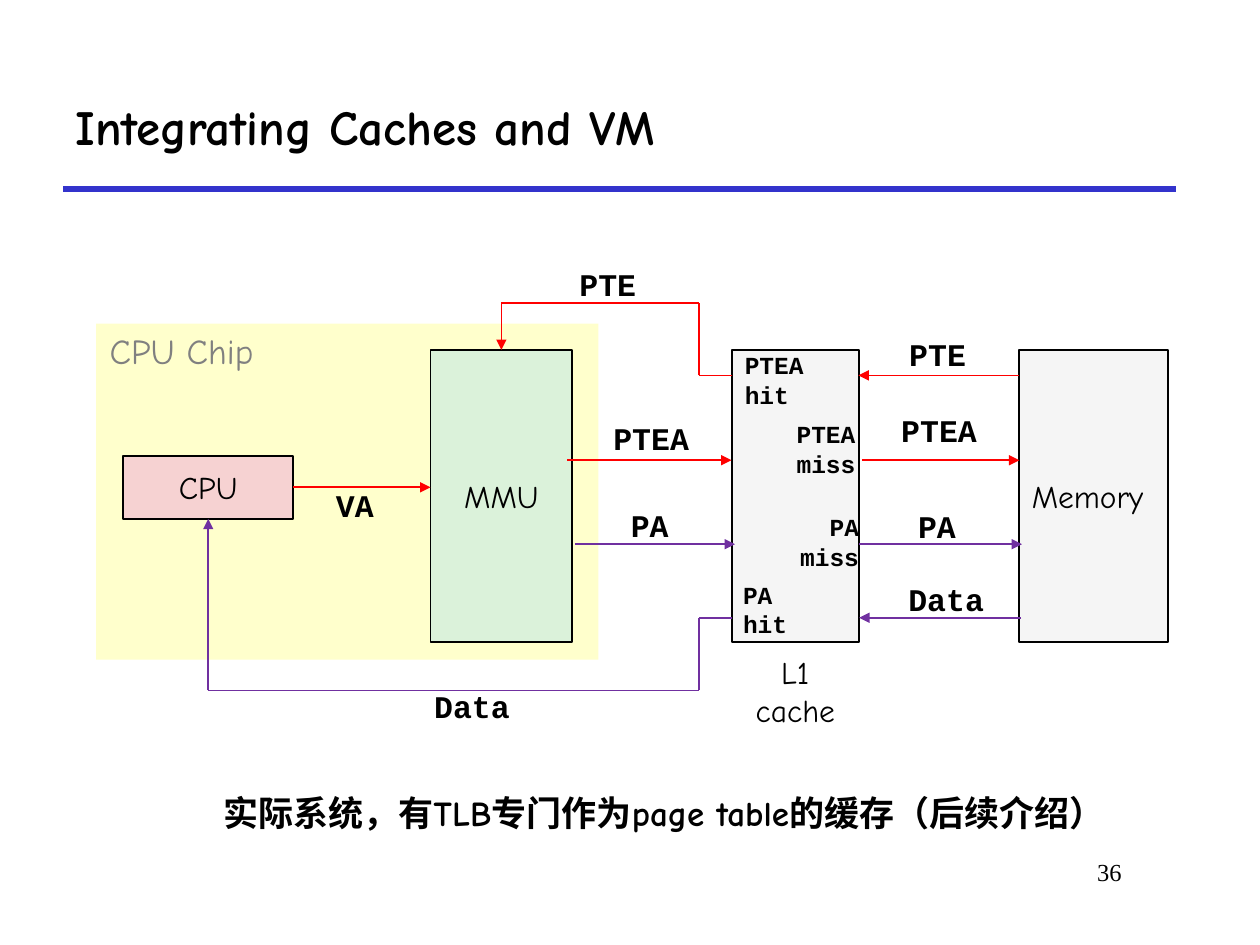
from lxml import etree
from pptx import Presentation
from pptx.dml.color import RGBColor
from pptx.enum.shapes import MSO_CONNECTOR, MSO_SHAPE
from pptx.enum.text import MSO_ANCHOR, MSO_AUTO_SIZE, PP_ALIGN
from pptx.oxml.ns import qn
from pptx.util import Pt

LEFT, CENTER, RIGHT = PP_ALIGN.LEFT, PP_ALIGN.CENTER, PP_ALIGN.RIGHT
TOP, MIDDLE = MSO_ANCHOR.TOP, MSO_ANCHOR.MIDDLE
RECT = MSO_SHAPE.RECTANGLE
STRAIGHT = MSO_CONNECTOR.STRAIGHT
GROW = MSO_AUTO_SIZE.SHAPE_TO_FIT_TEXT

COLORS = {
    "ink": "000000",
    "gray": "808080",
    "rule": "3333CC",
    "chip": "FFFFCC",
    "cpu": "F6D2D2",
    "mmu": "DBF2DA",
    "store": "F5F5F5",
    "red": "FF0000",
    "violet": "7030A0",
}
HAND, CODE, SERIF = "Comic Neue", "Courier New", "Times New Roman"


class Board:
    def __init__(self, deck):
        self.slide = deck.slides.add_slide(deck.slide_layouts[6])
        self.shapes = self.slide.shapes

    def color(self, name):
        return RGBColor.from_string(COLORS[name])

    def style(self, frame, text, size, font, bold=False, color="ink",
              align=LEFT, anchor=MIDDLE, wrap=False, space=None):
        frame.text = text
        frame.word_wrap = wrap
        frame.vertical_anchor = anchor
        for para in frame.paragraphs:
            para.alignment = align
            if space:
                para.line_spacing = space
            for run in para.runs:
                run.font.size = Pt(size)
                run.font.name = font
                run.font.bold = bold
                run.font.color.rgb = self.color(color)

    def text(self, box, text, size, font, grow=True, **look):
        frame = self.shapes.add_textbox(*map(Pt, box)).text_frame
        self.style(frame, text, size, font, **look)
        if grow:
            frame.auto_size = GROW
        return frame

    def label(self, box, text, size=18, **look):
        self.text(box, text, size, CODE, bold=True, **look)

    def tag(self, left, top, width, text):
        frame = self.text((left, top, width, 22.5), text, 18, CODE,
                          bold=True, anchor=TOP, space=0.85)
        frame.margin_left = frame.margin_right = Pt(5)
        frame.margin_top = frame.margin_bottom = Pt(2.5)

    def block(self, box, fill, text="", align=CENTER, edge=True):
        shape = self.shapes.add_shape(RECT, *map(Pt, box))
        shape.shadow.inherit = False
        shape.fill.solid()
        shape.fill.fore_color.rgb = self.color(fill)
        if edge:
            shape.line.color.rgb = self.color("ink")
            shape.line.width = Pt(1)
        else:
            shape.line.fill.background()
        if text:
            self.style(shape.text_frame, text, 18, HAND, align=align)
        return shape

    def line(self, start, end, color, width=1, arrow=False):
        line = self.shapes.add_connector(STRAIGHT, *map(Pt, start + end))
        line.line.color.rgb = self.color(color)
        line.line.width = Pt(width)
        props = line._element.spPr
        if arrow:
            tail = etree.SubElement(props.find(qn("a:ln")), qn("a:tailEnd"))
            tail.set("type", "triangle")
        etree.SubElement(props, qn("a:effectLst"))
        return line

    def route(self, points, color):
        for start, end in zip(points[:-2], points[1:-1]):
            self.line(start, end, color)
        return self.line(points[-2], points[-1], color, arrow=True)


def main():
    deck = Presentation()
    deck.slide_width, deck.slide_height = Pt(720), Pt(540)
    board = Board(deck)

    board.line((36, 108), (672, 108), "rule", 3)
    board.text((36, 36, 636, 72), "Integrating Caches and VM", 28, HAND,
               grow=False, bold=True, wrap=True)
    board.text((546, 486, 102, 36), "36", 14, SERIF, grow=False,
               align=RIGHT, anchor=TOP, wrap=True)

    board.block((55, 185, 287, 192), "chip", edge=False)
    cpu = board.block((70.5, 260.5, 97, 36), "cpu", "CPU")
    mmu = board.block((246, 200, 81, 167), "mmu", "MMU")
    board.block((418.5, 200, 72.5, 167), "store")
    board.block((582.5, 200, 85, 167), "store", "Memory", LEFT)

    ask = board.line((167.5, 278.5), (246, 278.5), "red", arrow=True)
    ask.begin_connect(cpu, 3)
    for start, end, y, color in (
        (324, 418, 263, "red"),
        (492.5, 582.5, 263, "red"),
        (582.5, 490.5, 214.5, "red"),
        (328.5, 420, 311, "violet"),
        (491, 584, 311, "violet"),
        (583.5, 491, 353, "violet"),
    ):
        board.line((start, y), (end, y), color, arrow=True)

    bend = 399.5
    for y, turn, x, stop, color, goal, side in (
        (214.5, 173, 286.5, 200, "red", mmu, 0),
        (353, 394.5, 119, 296.5, "violet", cpu, 2),
    ):
        points = [(418.5, y), (bend, y), (bend, turn), (x, turn), (x, stop)]
        board.route(points, color).end_connect(goal, side)

    for left, top, width, text in (
        (187, 278.5, 32, "VA"),
        (345.5, 240, 53.5, "PTEA"),
        (355.5, 290, 32, "PA"),
        (510, 235.5, 53.5, "PTEA"),
    ):
        board.tag(left, top, width, text)

    for left, top, width, text in (
        (324, 147.5, 47, "PTE"),
        (512.5, 187.5, 47, "PTE"),
        (517.5, 286, 37, "PA"),
        (512, 328, 58, "Data"),
        (241, 389, 58, "Data"),
    ):
        board.label((left, top, width, 29), text)

    for left, top, width, text, align in (
        (418.5, 196.5, 57, "PTEA\nhit", LEFT),
        (448, 236, 48, "PTEA\nmiss", RIGHT),
        (450, 289, 48, "PA\nmiss", RIGHT),
        (417.5, 327.5, 40, "PA\nhit", LEFT),
    ):
        board.label((left, top, width, 41), text, 14, align=align)

    board.text((422.5, 369.5, 64, 51), "L1\ncache", 18, HAND, align=CENTER)
    board.text((55.5, 185, 98.5, 31.5), "CPU Chip", 20, HAND,
               color="gray", anchor=TOP)
    board.text((120.5, 448.5, 550, 31.5),
               "实际系统，有TLB专门作为page table的缓存（后续介绍）",
               20, HAND, bold=True, anchor=TOP)

    deck.save("out.pptx")


if __name__ == "__main__":
    main()
